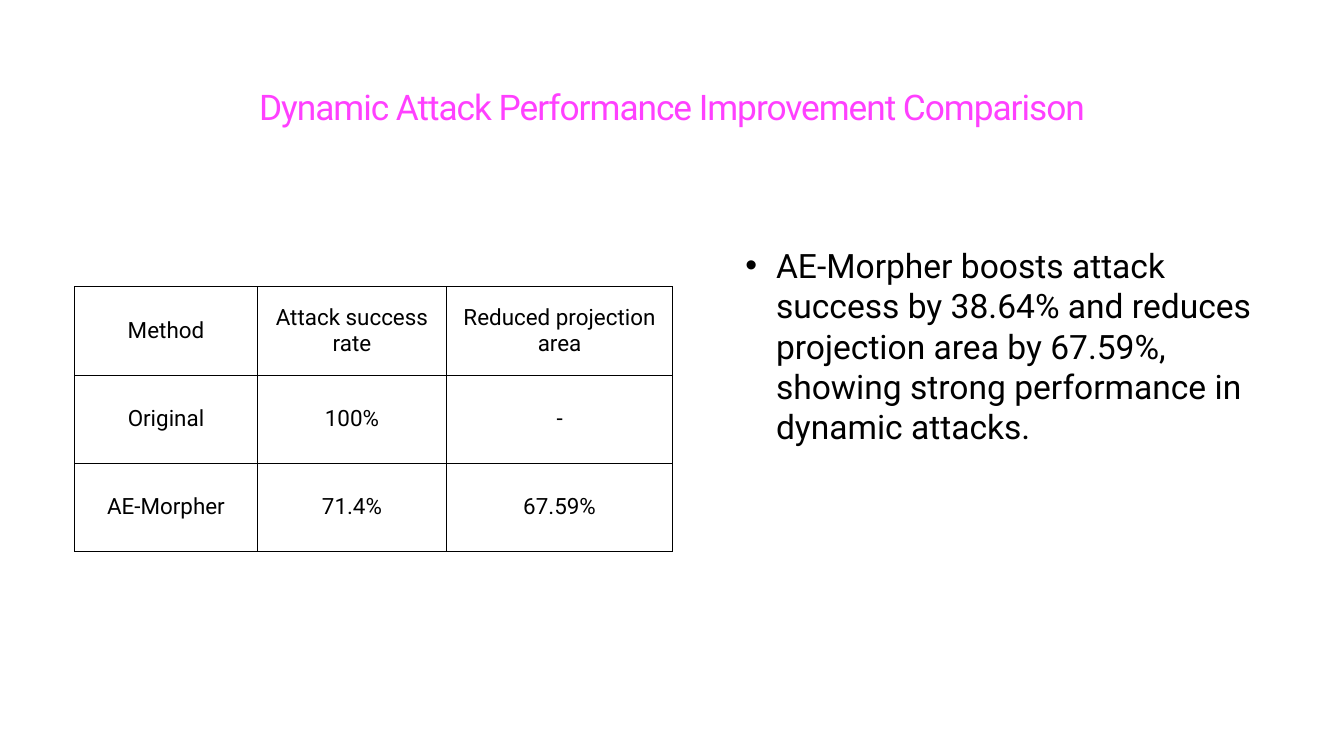
from dataclasses import dataclass

from pptx import Presentation
from pptx.dml.color import RGBColor
from pptx.enum.text import MSO_ANCHOR, MSO_AUTO_SIZE, PP_ALIGN
from pptx.oxml import parse_xml
from pptx.oxml.ns import nsdecls
from pptx.util import Inches, Pt

BOTTOM, MIDDLE, TOP = MSO_ANCHOR.BOTTOM, MSO_ANCHOR.MIDDLE, MSO_ANCHOR.TOP
CENTER, LEFT = PP_ALIGN.CENTER, PP_ALIGN.LEFT
NO_AUTOFIT = MSO_AUTO_SIZE.NONE


@dataclass(frozen=True)
class Theme:
    font: str = "Roboto"
    accent: str = "FF40FF"
    ink: str = "000000"
    title_size: float = 50.4
    body_size: float = 48
    table_size: float = 32
    title_tracking: float = -1.5
    border_width: float = 1
    inset: float = 0.06
    bullet_indent: float = 0.61


class SlideBuilder:
    """Holds the theme and the current slide, and adds each kind of element."""

    def __init__(self, slide, theme):
        self.slide = slide
        self.theme = theme

    def set_insets(self, target):
        for side in ("left", "top", "right", "bottom"):
            setattr(target, f"margin_{side}", Inches(self.theme.inset))

    def add_text(self, paragraph, text, size, color, alignment):
        paragraph.alignment = alignment
        paragraph.space_before = Pt(0)
        run = paragraph.add_run()
        run.text = text
        run.font.name = self.theme.font
        run.font.size = Pt(size)
        run.font.color.rgb = RGBColor.from_string(color)
        return run

    def place(self, shape, box, anchor):
        shape.left, shape.top, shape.width, shape.height = map(Inches, box)
        frame = shape.text_frame
        frame.word_wrap = True
        frame.auto_size = NO_AUTOFIT
        frame.vertical_anchor = anchor
        self.set_insets(frame)
        return frame.paragraphs[0]

    def title(self, text, box):
        paragraph = self.place(self.slide.shapes.title, box, BOTTOM)
        paragraph.line_spacing = 0.8
        run = self.add_text(paragraph, text, self.theme.title_size, self.theme.accent, CENTER)
        run._r.get_or_add_rPr().set("spc", str(int(self.theme.title_tracking * 100)))

    def bullet(self, text, box):
        paragraph = self.place(self.slide.placeholders[1], box, TOP)
        properties = paragraph._p.get_or_add_pPr()
        indent = Inches(self.theme.bullet_indent)
        properties.set("marL", str(indent))
        properties.set("indent", str(-indent))
        properties.append(parse_xml(
            f'<a:buClr {nsdecls("a")}><a:srgbClr val="{self.theme.ink}"/></a:buClr>'))
        properties.append(parse_xml(f'<a:buChar {nsdecls("a")} char="•"/>'))
        self.add_text(paragraph, text, self.theme.body_size, self.theme.ink, LEFT)

    def border(self, cell):
        properties = cell._tc.get_or_add_tcPr()
        for side in "LRTB":
            properties.append(parse_xml(
                f'<a:ln{side} {nsdecls("a")} w="{Pt(self.theme.border_width)}">'
                f'<a:solidFill><a:srgbClr val="{self.theme.ink}"/></a:solidFill>'
                f'</a:ln{side}>'))

    def table(self, rows, left, top, column_widths, row_height):
        table = self.slide.shapes.add_table(
            len(rows), len(column_widths), Inches(left), Inches(top),
            Inches(sum(column_widths)), Inches(row_height * len(rows))).table
        table.first_row = False
        table.horz_banding = False
        for column, width in zip(table.columns, column_widths):
            column.width = Inches(width)
        for row_index, texts in enumerate(rows):
            for column_index, text in enumerate(texts):
                cell = table.cell(row_index, column_index)
                self.border(cell)
                cell.fill.background()
                cell.vertical_anchor = MIDDLE
                self.set_insets(cell)
                self.add_text(cell.text_frame.paragraphs[0], text,
                              self.theme.table_size, self.theme.ink, CENTER)


def main():
    presentation = Presentation()
    presentation.slide_width = Inches(26.67)
    presentation.slide_height = Inches(15)
    slide = presentation.slides.add_slide(presentation.slide_layouts[1])
    builder = SlideBuilder(slide, Theme())

    builder.title("Dynamic Attack Performance Improvement Comparison",
                  (4.19, 0.9, 18.29, 1.69))
    builder.bullet("AE-Morpher boosts attack success by 38.64% and reduces projection "
                   "area by 67.59%, showing strong performance in dynamic attacks.",
                   (14.73, 4.8, 10.56, 9.22))
    builder.table([
        ("Method", "Attack success rate", "Reduced projection area"),
        ("Original", "100%", "-"),
        ("AE-Morpher", "71.4%", "67.59%"),
    ], left=1.48, top=5.69, column_widths=(3.63, 3.75, 4.49), row_height=1.75)

    presentation.save("out.pptx")


if __name__ == "__main__":
    main()
